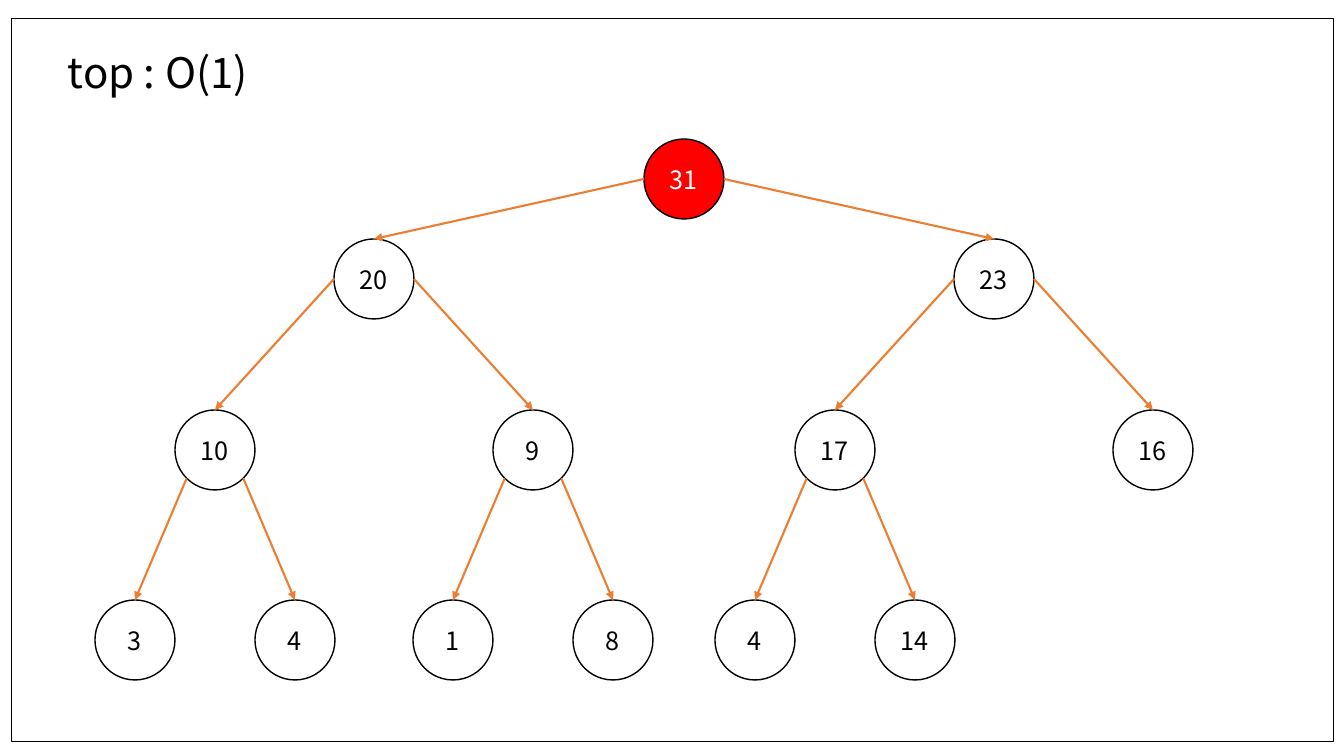
from dataclasses import dataclass
from math import cos, pi, sin

from lxml import etree
from pptx import Presentation
from pptx.dml.color import RGBColor
from pptx.enum.shapes import MSO_CONNECTOR, MSO_SHAPE
from pptx.enum.text import MSO_ANCHOR, MSO_AUTO_SIZE, PP_ALIGN
from pptx.oxml.ns import qn
from pptx.shapes.autoshape import Shape
from pptx.text.text import TextFrame
from pptx.util import Emu, Pt

RECTANGLE, OVAL = MSO_SHAPE.RECTANGLE, MSO_SHAPE.OVAL
STRAIGHT = MSO_CONNECTOR.STRAIGHT
MIDDLE = MSO_ANCHOR.MIDDLE
LEFT, CENTER = PP_ALIGN.LEFT, PP_ALIGN.CENTER
GROW = MSO_AUTO_SIZE.SHAPE_TO_FIT_TEXT
TOP_SITE = 0


@dataclass(frozen=True)
class Theme:
    font: str = "Noto Sans CJK KR"
    title_size: float = 30
    node_size: float = 18
    frame_line: float = 0.25
    node_line: float = 1
    edge_line: float = 1.5
    ink: RGBColor = RGBColor(0, 0, 0)
    paper: RGBColor = RGBColor(255, 255, 255)
    root: RGBColor = RGBColor(255, 0, 0)
    edge: RGBColor = RGBColor(0xED, 0x7D, 0x31)


@dataclass(frozen=True)
class Level:
    y: int            # centre of the row
    spread: int       # sideways step from a parent to its child
    exit_angle: float  # where edges leave a node, below the horizontal


@dataclass(frozen=True)
class Node:
    value: int
    x: int
    level: Level


THEME = Theme()
DIAMETER = 80
ROOT_X = 684
LEVELS = [
    Level(179, 0, 0),
    Level(279, 310, 0),
    Level(450, 159, pi / 4),
    Level(640, 80, 0),
]
HEAP = [31, 20, 23, 10, 9, 17, 16, 3, 4, 1, 8, 4, 14]


def px(pixels: float) -> Emu:
    return Emu(round(pixels * 914400 / 100.8))


def side_of(index: int) -> int:
    """Left children have odd indexes in the heap."""
    return -1 if index % 2 else 1


def lay_out(values: list[int]) -> list[Node]:
    nodes = [Node(values[0], ROOT_X, LEVELS[0])]
    for index, value in enumerate(values[1:], start=1):
        level = LEVELS[(index + 1).bit_length() - 1]
        parent = nodes[(index - 1) // 2]
        nodes.append(Node(value, parent.x + side_of(index) * level.spread, level))
    return nodes


def write(frame: TextFrame, text: str, *, size: float, color: RGBColor,
          align: PP_ALIGN = LEFT) -> None:
    para = frame.paragraphs[0]
    para.alignment = align
    span = para.add_run()
    span.text = text
    span.font.name = THEME.font
    span.font.size = Pt(size)
    span.font.color.rgb = color


def add_outlined(kind: MSO_SHAPE, left: int, top: int, width: int, height: int,
                 *, fill: RGBColor, line: float) -> Shape:
    shape = page.shapes.add_shape(kind, px(left), px(top), px(width), px(height))
    shape.shadow.inherit = False
    shape.fill.solid()
    shape.fill.fore_color.rgb = fill
    shape.line.color.rgb = THEME.ink
    shape.line.width = Pt(line)
    return shape


def add_node(node: Node, *, fill: RGBColor, color: RGBColor) -> Shape:
    radius = DIAMETER // 2
    circle = add_outlined(OVAL, node.x - radius, node.level.y - radius,
                          DIAMETER, DIAMETER, fill=fill, line=THEME.node_line)
    circle.text_frame.vertical_anchor = MIDDLE
    write(circle.text_frame, str(node.value), size=THEME.node_size,
          color=color, align=CENTER)
    return circle


def add_edge(parent: Node, child: Shape, side: int) -> None:
    radius = DIAMETER / 2
    start_x = px(parent.x + side * radius * cos(parent.level.exit_angle))
    start_y = px(parent.level.y + radius * sin(parent.level.exit_angle))
    arrow = page.shapes.add_connector(STRAIGHT, start_x, start_y, start_x, start_y)
    arrow.end_connect(child, TOP_SITE)
    arrow.line.color.rgb = THEME.edge
    arrow.line.width = Pt(THEME.edge_line)
    etree.SubElement(arrow.line._get_or_add_ln(), qn("a:tailEnd"), type="triangle")
    etree.SubElement(arrow._element.spPr, qn("a:effectLst"))


deck = Presentation()
deck.slide_width, deck.slide_height = px(1344), px(756)
page = deck.slides.add_slide(deck.slide_layouts[6])

# Page frame
add_outlined(RECTANGLE, 11, 18, 1322, 723, fill=THEME.paper, line=THEME.frame_line)

# Heap nodes, with the top highlighted
nodes = lay_out(HEAP)
circles = [add_node(nodes[0], fill=THEME.root, color=THEME.paper)]
circles += [add_node(node, fill=THEME.paper, color=THEME.ink) for node in nodes[1:]]

# Arrows from parents to children
for index in range(1, len(nodes)):
    add_edge(nodes[(index - 1) // 2], circles[index], side_of(index))

# Title
box = page.shapes.add_textbox(px(58), px(42), px(207), px(61))
box.text_frame.word_wrap = False
box.text_frame.auto_size = GROW
write(box.text_frame, "top : O(1)", size=THEME.title_size, color=THEME.ink)

deck.save("out.pptx")
